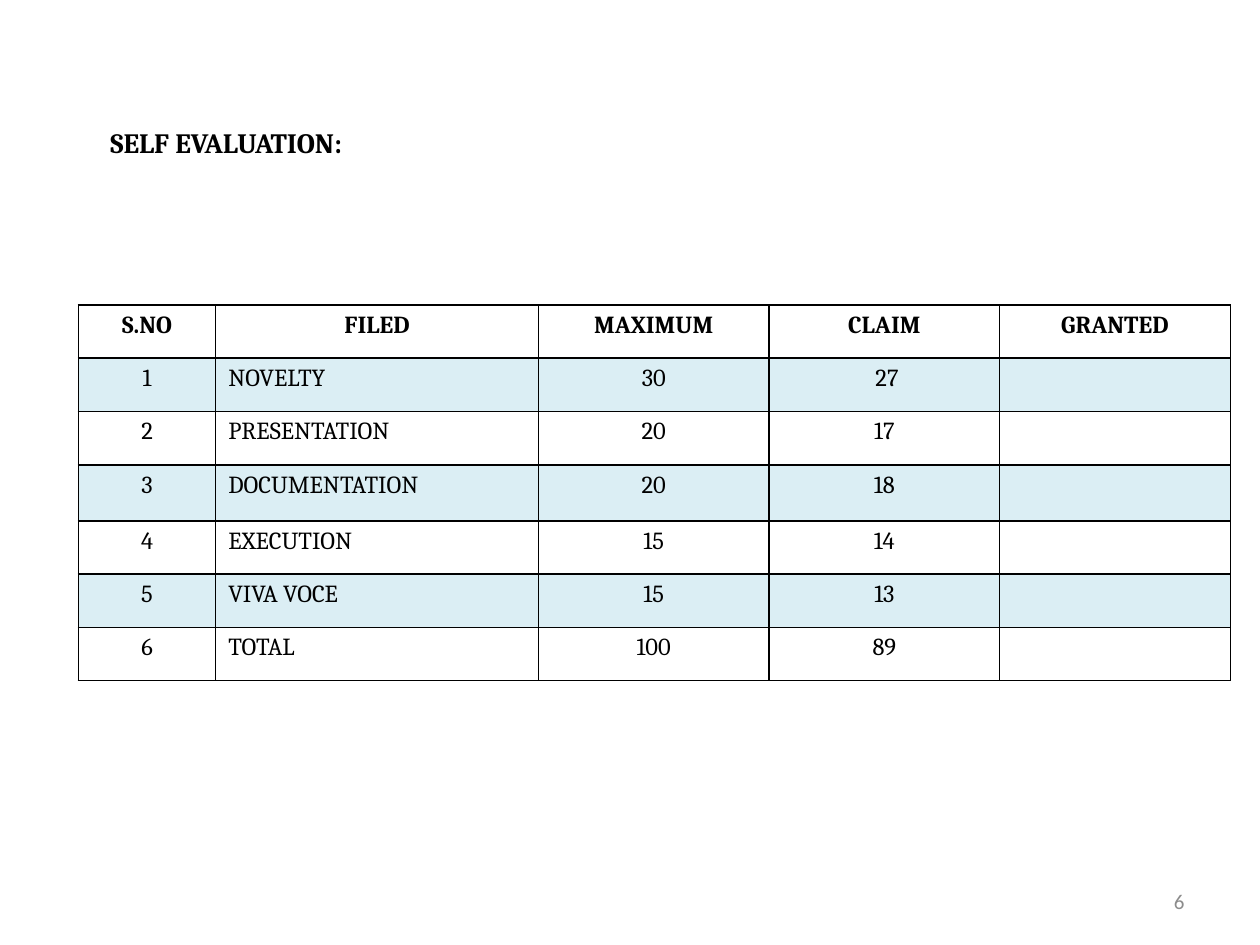
from dataclasses import dataclass

from lxml import etree
from pptx import Presentation
from pptx import util as u
from pptx.dml.color import RGBColor
from pptx.enum import text as t
from pptx.oxml.ns import qn

HUES = {"ink": "000000", "band": "DBEEF4", "plain": "FFFFFF", "gray": "8C8C8C"}
LEFT, MID, RIGHT = t.PP_ALIGN.LEFT, t.PP_ALIGN.CENTER, t.PP_ALIGN.RIGHT

HEAD = ("S.NO", "FILED", "MAXIMUM", "CLAIM", "GRANTED")
MARKS = (
    ("NOVELTY", "30", " 27"),
    ("PRESENTATION", "20", "17"),
    ("DOCUMENTATION", "20", "18"),
    ("EXECUTION", "15", "14"),
    ("VIVA VOCE", "15", "13"),
    ("TOTAL", "100", "89"),
)
WIDTHS = (78.5, 184.4, 131.8, 131.8, 131.8)
HEIGHTS = (30.5, 30.5, 30.5, 32, 30.5, 30.5, 30.5)


@dataclass
class Style:
    size: float
    name: str = "Cambria"
    bold: bool = False
    hue: str = "ink"
    align: t.PP_ALIGN = LEFT


@dataclass
class Label:
    words: str
    left: float
    top: float
    width: float
    height: float
    style: Style
    foot: float = 3.6


def rgb(hue: str) -> RGBColor:
    return RGBColor.from_string(HUES[hue])


def write(frame, words: str, style: Style) -> None:
    para = frame.paragraphs[0]
    para.alignment = style.align
    run = para.add_run()
    run.text = words
    look = {"size": u.Pt(style.size), "name": style.name, "bold": style.bold}
    for key, value in look.items():
        setattr(run.font, key, value)
    run.font.color.rgb = rgb(style.hue)


def add_label(slide, label: Label) -> None:
    area = map(u.Pt, (label.left, label.top, label.width, label.height))
    frame = slide.shapes.add_textbox(*area).text_frame
    look = {
        "word_wrap": True,
        "vertical_anchor": t.MSO_ANCHOR.MIDDLE,
        "margin_bottom": u.Pt(label.foot),
    }
    for key, value in look.items():
        setattr(frame, key, value)
    write(frame, label.words, label.style)


def add_edges(cell) -> None:
    """Rule all four sides; borders must come before the fill in tcPr."""
    props = cell._tc.get_or_add_tcPr()
    for spot, side in enumerate(("lnL", "lnR", "lnT", "lnB")):
        line = etree.Element(qn(f"a:{side}"), w=str(u.Pt(1)))
        fill = etree.SubElement(line, qn("a:solidFill"))
        etree.SubElement(fill, qn("a:srgbClr"), val=HUES["ink"])
        props.insert(spot, line)


def add_marks(slide, left: float, top: float) -> None:
    rows = [HEAD] + [(str(n), *mark, "") for n, mark in enumerate(MARKS, 1)]
    area = map(u.Pt, (left, top, sum(WIDTHS), sum(HEIGHTS)))
    grid = slide.shapes.add_table(len(rows), len(HEAD), *area).table
    for col, width in zip(grid.columns, WIDTHS):
        col.width = u.Pt(width)
    for row, height in zip(grid.rows, HEIGHTS):
        row.height = u.Pt(height)
    for r, row in enumerate(rows):
        for c, words in enumerate(row):
            cell = grid.cell(r, c)
            cell.fill.solid()
            cell.fill.fore_color.rgb = rgb("band" if r % 2 else "plain")
            add_edges(cell)
            if words:
                align = LEFT if r and c == 1 else MID
                write(cell.text_frame, words, Style(14, bold=r == 0, align=align))


def main() -> None:
    deck = Presentation()
    deck.slide_width, deck.slide_height = u.Pt(720), u.Pt(540)
    slide = deck.slides.add_slide(deck.slide_layouts[6])
    title = Style(16, bold=True)
    add_label(slide, Label("SELF EVALUATION:", 56, 44.6, 648, 90, title, foot=20.6))
    add_marks(slide, 44.8, 174.2)
    page = Style(12, "Calibri", hue="gray", align=RIGHT)
    add_label(slide, Label("6", 516, 500.5, 168, 28.8, page))
    deck.save("out.pptx")


if __name__ == "__main__":
    main()
